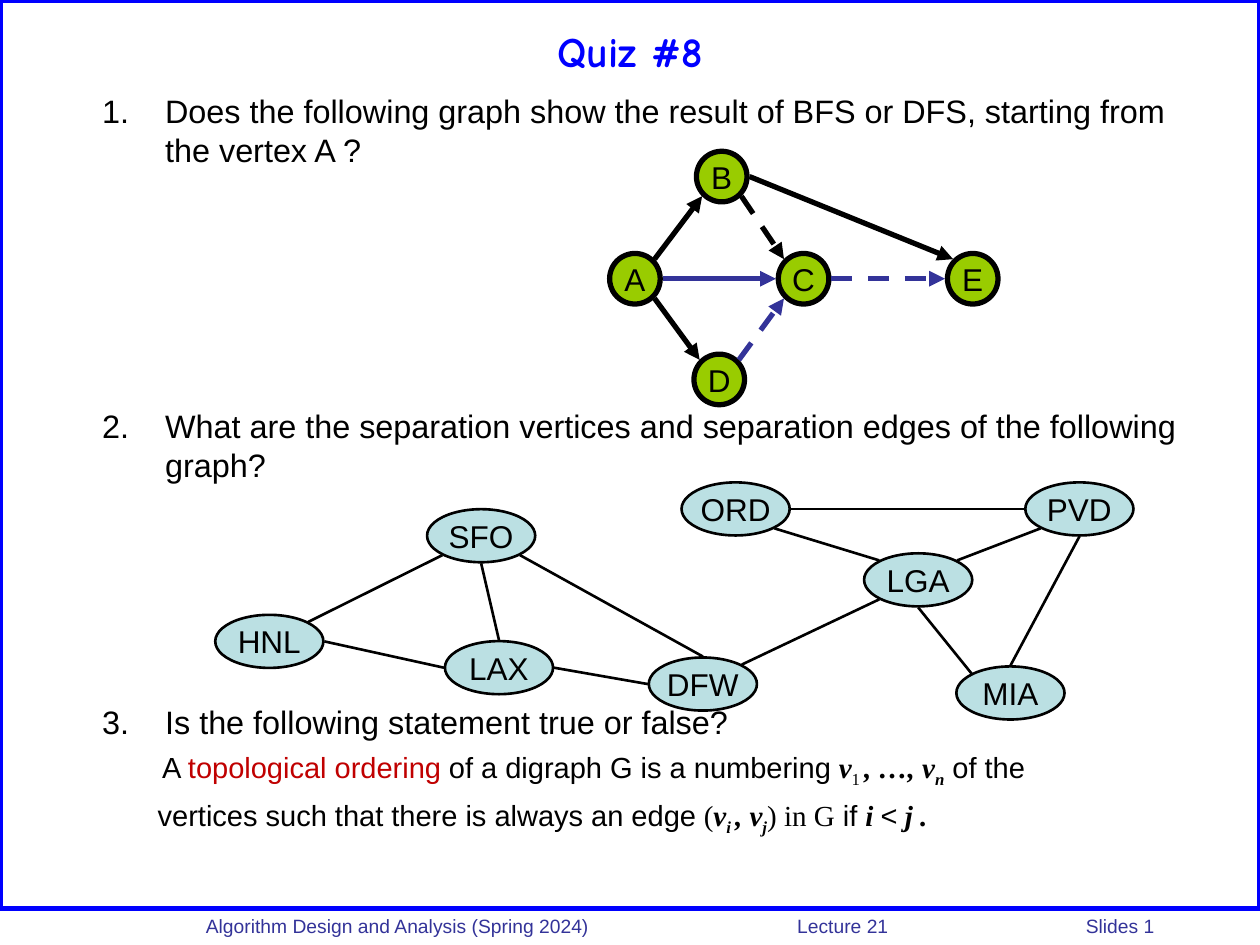
from math import cos, sin, radians, sqrt

from lxml.etree import SubElement
from pptx import Presentation
from pptx.dml.color import RGBColor
from pptx.enum.dml import MSO_LINE
from pptx.enum.shapes import MSO_CONNECTOR, MSO_SHAPE
from pptx.enum.text import MSO_ANCHOR as Anchor, PP_ALIGN as Align
from pptx.oxml.ns import qn
from pptx.util import Cm, Pt

BLACK, BLUE, NAVY, RED = "000000", "0000FF", "333399", "C00000"
GREEN, AQUA = "99CC00", "BBE0E3"
ANGLES = dict(E=0, SE=45, S=90, SW=135, W=180, NW=225, N=270, NE=315)

QUESTION = dict(size=Pt(18.5), name="Arial")
BODY = dict(size=Pt(16.6), name="Arial")
SERIF = dict(size=Pt(16.6), name="Times New Roman")
MATH = dict(SERIF, bold=True, italic=True)
NODE = dict(size=Pt(18), name="Arial")


def color(value):
    return RGBColor.from_string(value)


def add_span(para, text, style, ink=BLACK, subscript=False):
    span = para.add_run()
    span.text = text
    for key, value in style.items():
        setattr(span.font, key, value)
    span.font.color.rgb = color(ink)
    if subscript:
        span.font._element.set("baseline", "-25000")


def add_text_box(page, box, **settings):
    frame = page.shapes.add_textbox(*map(Cm, box)).text_frame
    layout = dict(word_wrap=True, margin_left=0, margin_right=0, margin_top=0, margin_bottom=0)
    for key, value in (layout | settings).items():
        setattr(frame, key, value)
    return frame


def set_indent(para, left, first=0):
    props = para._p.get_or_add_pPr()
    props.set("marL", str(Cm(left)))
    props.set("indent", str(Cm(first)))
    return props


def add_shape(page, kind, box, fill, line_width, ink):
    shape = page.shapes.add_shape(kind, *map(Cm, box))
    shape.shadow.inherit = False
    if fill:
        shape.fill.solid()
        shape.fill.fore_color.rgb = color(fill)
    else:
        shape.fill.background()
    shape.line.width = Pt(line_width)
    shape.line.color.rgb = color(ink)
    return shape


def add_edge(page, start, end, width, ink=BLACK, dashed=False, arrow=False):
    edge = page.shapes.add_connector(MSO_CONNECTOR.STRAIGHT, *map(Cm, start + end))
    edge.line.width = Pt(width)
    edge.line.color.rgb = color(ink)
    if dashed:
        edge.line.dash_style = MSO_LINE.DASH
    if arrow:
        SubElement(edge.line._get_or_add_ln(), qn("a:tailEnd"), type="triangle")
    SubElement(edge._element.spPr, qn("a:effectLst"))


def add_graph(page, box, node_size, gap, fill, line_width, nodes, edges, arrow=False):
    left, top = box
    width, height = node_size
    for label, (x, y) in nodes.items():
        place = (left + x - width / 2, top + y - height / 2, width, height)
        frame = add_shape(page, MSO_SHAPE.OVAL, place, fill, line_width, BLACK).text_frame
        frame.word_wrap = False
        frame.vertical_anchor = Anchor.MIDDLE
        para = frame.paragraphs[0]
        para.alignment = Align.CENTER
        add_span(para, label, NODE)

    def site(label, side):
        x, y = nodes[label]
        angle = radians(ANGLES[side])
        return (left + x + (width / 2 + gap) * cos(angle),
                top + y + (height / 2 + gap) * sin(angle))

    for start, start_side, end, end_side, *look in edges:
        add_edge(page, site(start, start_side), site(end, end_side), line_width, *look, arrow=arrow)


def add_question(page, box, number, text):
    para = add_text_box(page, box).paragraphs[0]
    para.line_spacing = Pt(22.3)
    props = set_indent(para, 1.27, -1.27)
    SubElement(props, qn("a:buFont"), typeface="+mj-lt")
    SubElement(props, qn("a:buAutoNum"), type="arabicPeriod", startAt=str(number))
    add_span(para, text, QUESTION)


def add_statement(page, box, lines):
    frame = add_text_box(page, box)
    for index, (indent, spans) in enumerate(lines):
        para = frame.add_paragraph() if index else frame.paragraphs[0]
        para.line_spacing = Pt(27.4)
        set_indent(para, indent)
        for span in spans:
            add_span(para, *span)


def add_title(page, box, text):
    para = add_text_box(page, box, vertical_anchor=Anchor.MIDDLE).paragraphs[0]
    para.alignment = Align.CENTER
    add_span(para, text, dict(size=Pt(24), name="Comic Neue", bold=True), BLUE)


def add_footer(page, box, parts, stops):
    para = add_text_box(page, box).paragraphs[0]
    tabs = SubElement(para._p.get_or_add_pPr(), qn("a:tabLst"))
    for stop in stops:
        SubElement(tabs, qn("a:tab"), pos=str(Cm(stop)), algn="l")
    add_span(para, "\t".join(parts), dict(size=Pt(11), name="Arial"), NAVY)


def add_quiz(page):
    add_shape(page, MSO_SHAPE.RECTANGLE, (0, 0, 25.4, 18.31), None, 3, BLUE)
    add_footer(page, (4.15, 18.43, 21.2, 0.5),
               ["Algorithm Design and Analysis (Spring 2024)", "Lecture 21", "Slides 1"],
               [11.92, 17.74])
    add_title(page, (1.27, 0, 22.86, 2.03), "Quiz #8")

    questions = [
        (1.83, "Does the following graph show the result of BFS or DFS, starting from the vertex A ?"),
        (8.18, "What are the separation vertices and separation edges of the following graph?"),
        (14.15, "Is the following statement true or false?"),
    ]
    for number, (top, text) in enumerate(questions, 1):
        add_question(page, (2.06, top, 21.8, 1.6 if number < 3 else 0.8), number, text)

    add_statement(page, (2.06, 14.94, 21.8, 2), [
        (1.21, [("A ", BODY), ("topological ordering ", BODY, RED),
                ("of a digraph G is a numbering ", BODY),
                ("v", MATH), ("1 ", SERIF, BLACK, True), (", …, v", MATH),
                ("n", MATH, BLACK, True), (" of the", BODY)]),
        (1.12, [("vertices such that there is always an edge ", BODY), ("(", SERIF),
                ("v", MATH), ("i ", MATH, BLACK, True), (", v", MATH),
                ("j", MATH, BLACK, True), (") in G", SERIF), (" if ", BODY),
                ("i ", MATH), ("<", BODY), (" j .", MATH)]),
    ])

    add_graph(page, (12.29, 3.05), (1.02, 1.02), 0.05, GREEN, 3,
              dict(A=(0.51, 2.57), B=(2.26, 0.51), C=(3.91, 2.57), D=(2.21, 4.6), E=(7.32, 2.57)),
              [("A", "NE", "B", "SW"), ("A", "SE", "D", "NW"),
               ("D", "NE", "C", "SW", NAVY, True), ("B", "SE", "C", "NW", BLACK, True),
               ("A", "E", "C", "W", NAVY), ("B", "E", "E", "NW"),
               ("C", "E", "E", "W", NAVY, True)],
              arrow=True)

    add_graph(page, (4.34, 9.73), (2.18, 1.07), 0.02, AQUA, 1.5,
              dict(ORD=(10.49, 0.53), PVD=(17.42, 0.53), MIA=(16.03, 4.24), DFW=(9.83, 4.06),
                   SFO=(5.36, 1.07), LAX=(5.72, 3.73), LGA=(14.17, 1.96), HNL=(1.09, 3.2)),
              [("DFW", "N", "SFO", "SE"), ("DFW", "NE", "LGA", "SW"), ("LGA", "NE", "PVD", "SW"),
               ("HNL", "E", "LAX", "W"), ("SFO", "S", "LAX", "N"), ("LGA", "S", "MIA", "NW"),
               ("LGA", "NW", "ORD", "SE"), ("LAX", "E", "DFW", "W"), ("HNL", "NE", "SFO", "SW"),
               ("MIA", "N", "PVD", "S"), ("PVD", "W", "ORD", "E")])


def main():
    deck = Presentation()
    deck.slide_width, deck.slide_height = Cm(25.4), Cm(19.05)
    add_quiz(deck.slides.add_slide(deck.slide_layouts[6]))
    deck.save("out.pptx")


if __name__ == "__main__":
    main()
